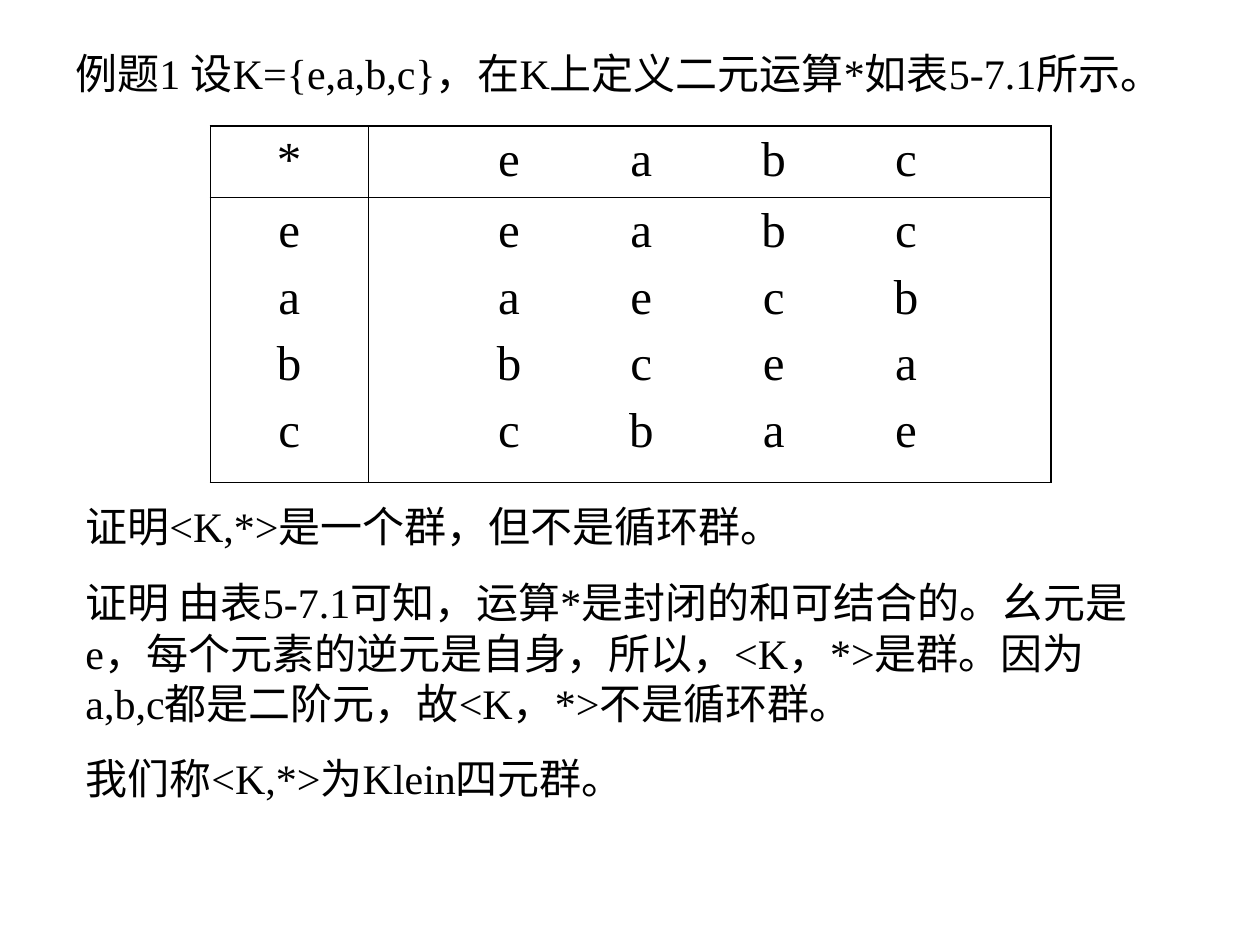
from lxml.etree import SubElement
from pptx import Presentation
from pptx.dml.color import RGBColor
from pptx.enum.text import PP_ALIGN as Align
from pptx.oxml.ns import qn
from pptx.util import Inches, Pt

BLACK = "000000"
THICK, THIN = 1.08, 0.45
FIRST_TAB, TAB_STEP = 1.02, 1.05


def add_run(p, text, size):
    r = p.add_run()
    r.text = text
    r.font.size = Pt(size)
    r.font.name = "Times New Roman"
    r.font.color.rgb = RGBColor.from_string(BLACK)


def add_border(cell, side, width):
    """Draw one side (L, R, T or B) of a cell; call in that order."""
    ln = SubElement(cell._tc.get_or_add_tcPr(), qn(f"a:ln{side}"), w=str(Pt(width)))
    fill = SubElement(ln, qn("a:solidFill"))
    SubElement(fill, qn("a:srgbClr"), val=BLACK)


prs = Presentation()
prs.slide_width, prs.slide_height = Inches(10), Inches(7.5)
s = prs.slides.add_slide(prs.slide_layouts[6])

# Statement and proof
paragraphs = [
    (0.5, 0.33, 0.9, "例题1 设K={e,a,b,c}，在K上定义二元运算*如表5-7.1所示。"),
    (0.58, 3.92, 0.5, "证明<K,*>是一个群，但不是循环群。"),
    (0.58, 4.53, 1.3, "证明 由表5-7.1可知，运算*是封闭的和可结合的。幺元是e，每个元素的逆元是自身，"
                      "所以，<K，*>是群。因为a,b,c都是二阶元，故<K，*>不是循环群。"),
    (0.58, 5.92, 0.5, "我们称<K,*>为Klein四元群。"),
]
for left, top, height, text in paragraphs:
    box = s.shapes.add_textbox(Inches(left), Inches(top), Inches(8.58), Inches(height))
    tf = box.text_frame
    tf.word_wrap = True
    add_run(tf.paragraphs[0], text, 24)

# Operation table
table = s.shapes.add_table(2, 2, Inches(1.67), Inches(1), Inches(6.67), Inches(2.83)).table
table.first_row = table.horz_banding = False
for col, width in zip(table.columns, (1.25, 5.42)):
    col.width = Inches(width)
for row, height in zip(table.rows, (0.57, 2.26)):
    row.height = Inches(height)

cell_lines = [
    [["*"], ["eabc"]],
    [["e", "a", "b", "c"], ["eabc", "aecb", "bcea", "cbae"]],
]
for i, row in enumerate(cell_lines):
    for j, lines in enumerate(row):
        cell = table.cell(i, j)
        tf = cell.text_frame
        for n, letters in enumerate(lines):
            p = tf.add_paragraph() if n else tf.paragraphs[0]
            if n:
                p.space_before = Pt(7)
            if j == 0:
                p.alignment = Align.CENTER
                add_run(p, letters, 28)
                continue
            p.alignment = Align.LEFT
            tabs = SubElement(p._p.get_or_add_pPr(), qn("a:tabLst"))
            for k in range(len(letters)):
                pos = Inches(FIRST_TAB + k * TAB_STEP)
                SubElement(tabs, qn("a:tab"), pos=str(pos), algn="ctr")
            add_run(p, "".join("\t" + letter for letter in letters), 28)
        outer = {"L": j == 0, "R": j == 1, "T": i == 0, "B": i == 1}
        for side, is_outer in outer.items():
            add_border(cell, side, THICK if is_outer else THIN)
        cell.fill.background()

prs.save("out.pptx")
